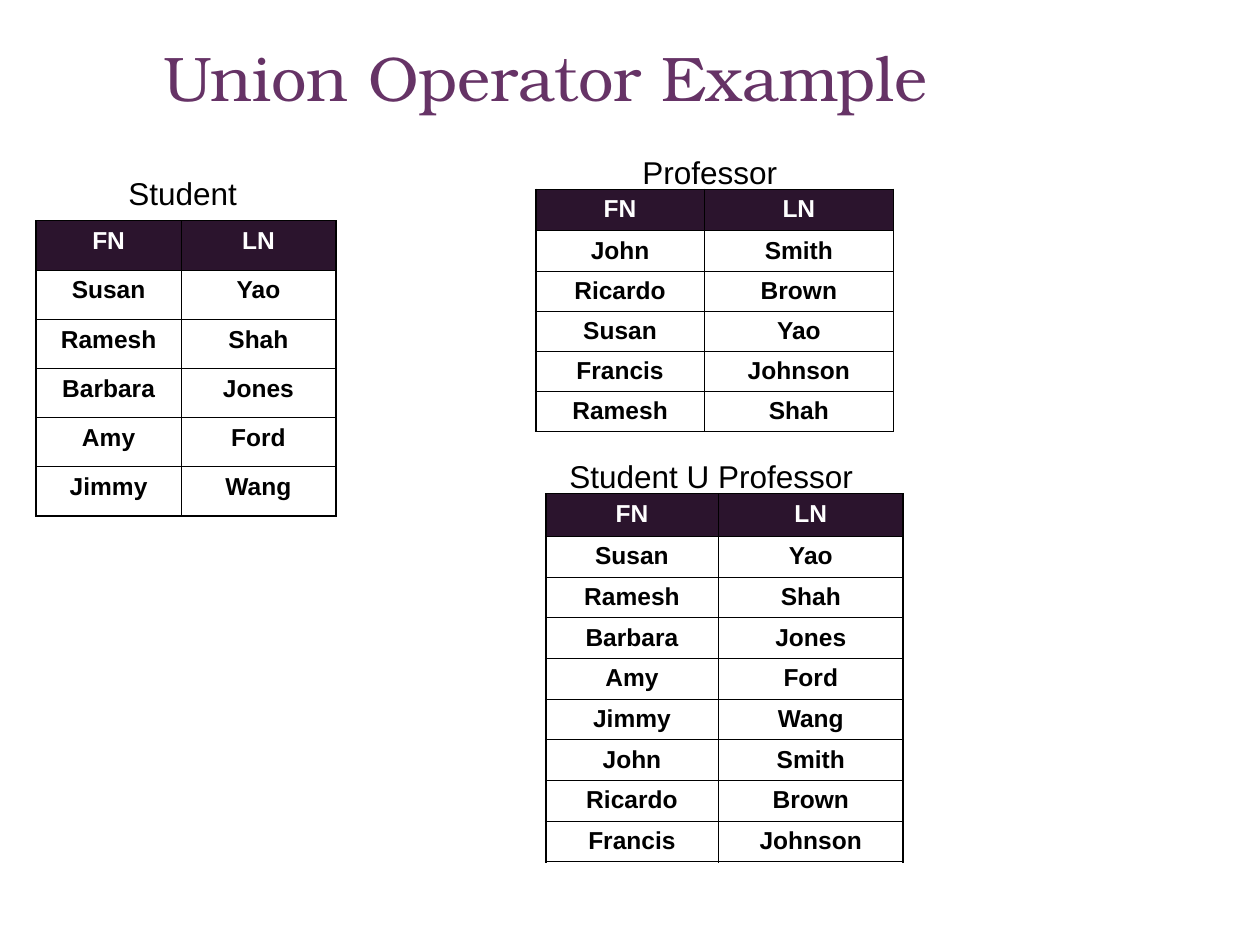
from lxml.etree import SubElement
from pptx import Presentation
from pptx.dml.color import RGBColor
from pptx.enum.text import MSO_ANCHOR, MSO_AUTO_SIZE, PP_ALIGN
from pptx.oxml.ns import qn
from pptx.util import Cm, Pt

TITLE = "Union Operator Example"
HEADER = ("FN", "LN")
STUDENTS = [("Susan", "Yao"), ("Ramesh", "Shah"), ("Barbara", "Jones"),
            ("Amy", "Ford"), ("Jimmy", "Wang")]
PROFESSORS = [("John", "Smith"), ("Ricardo", "Brown"), ("Susan", "Yao"),
              ("Francis", "Johnson"), ("Ramesh", "Shah")]
UNION = STUDENTS + [person for person in PROFESSORS if person not in STUDENTS]

RELATIONS = [
    dict(name="Student", label=(2.34, 3.38, 2.69), wrap=False, people=STUDENTS,
         corner=(0.73, 4.45), columns=(2.92, 3.12), header=1.0, row=0.99),
    dict(name="Professor", label=(12.7, 2.97, 3.61), wrap=True, people=PROFESSORS,
         corner=(10.8, 3.81), columns=(3.4, 3.81), header=0.84, row=0.81),
    dict(name="Student U Professor", label=(11.23, 9.09, 6.81), wrap=True, people=UNION,
         corner=(11.0, 9.95), columns=(3.48, 3.73), header=0.86, row=0.82),
]
COLORS = {"title": "663366", "header": "2B142D", "light": "FFFFFF", "dark": "000000"}
THIN, THICK = 0.45, 1.08


def write(frame, text, font, size, color, align=PP_ALIGN.LEFT, bold=False):
    para = frame.paragraphs[0]
    para.alignment = align
    span = para.add_run()
    span.text = text
    span.font.name = font
    span.font.size = Pt(size)
    span.font.bold = bold
    span.font.color.rgb = RGBColor.from_string(COLORS[color])


def draw_borders(cell, widths):
    properties = cell._tc.get_or_add_tcPr()
    for side, width in widths.items():
        line = SubElement(properties, qn(f"a:ln{side}"), w=str(Pt(width)))
        fill = SubElement(line, qn("a:solidFill"))
        SubElement(fill, qn("a:srgbClr"), val=COLORS["dark"])


def add_relation(page, relation):
    rows = [HEADER] + relation["people"]
    heights = [relation["header"]] + [relation["row"]] * len(relation["people"])
    columns = relation["columns"]
    left, top = relation["corner"]
    table = page.shapes.add_table(len(rows), len(columns), Cm(left), Cm(top),
                                  Cm(sum(columns)), Cm(sum(heights))).table
    table.first_row = table.horz_banding = False
    for column, width in zip(table.columns, columns):
        column.width = Cm(width)
    for r, (names, height) in enumerate(zip(rows, heights)):
        table.rows[r].height = Cm(height)
        for c, name in enumerate(names):
            cell = table.cell(r, c)
            draw_borders(cell, {
                "L": THICK if c == 0 else THIN,
                "R": THICK if c == len(columns) - 1 else THIN,
                "T": THIN,
                "B": THICK if r == len(rows) - 1 else THIN,
            })
            if r == 0:
                cell.fill.solid()
                cell.fill.fore_color.rgb = RGBColor.from_string(COLORS["header"])
            else:
                cell.fill.background()
            write(cell.text_frame, name, "Arial", 14, "dark" if r else "light",
                  PP_ALIGN.CENTER, bold=True)


def add_label(page, relation):
    left, top, width = relation["label"]
    frame = page.shapes.add_textbox(Cm(left), Cm(top), Cm(width), Cm(1.02)).text_frame
    frame.word_wrap = relation["wrap"]
    frame.auto_size = MSO_AUTO_SIZE.SHAPE_TO_FIT_TEXT
    write(frame, relation["name"], "Arial", 18, "dark")


def main():
    """Build the slide that shows the union of two relations."""
    deck = Presentation()
    deck.slide_width, deck.slide_height = Cm(25.4), Cm(19.05)
    page = deck.slides.add_slide(deck.slide_layouts[5])
    title = page.shapes.title
    title.left, title.top, title.width, title.height = Cm(0.61), Cm(0.64), Cm(20.78), Cm(3.18)
    title.text_frame.vertical_anchor = MSO_ANCHOR.TOP
    write(title.text_frame, TITLE, "TeX Gyre Bonum", 36, "title", PP_ALIGN.CENTER)
    for relation in RELATIONS:
        add_relation(page, relation)
    for relation in RELATIONS:
        add_label(page, relation)
    deck.save("out.pptx")


if __name__ == "__main__":
    main()
